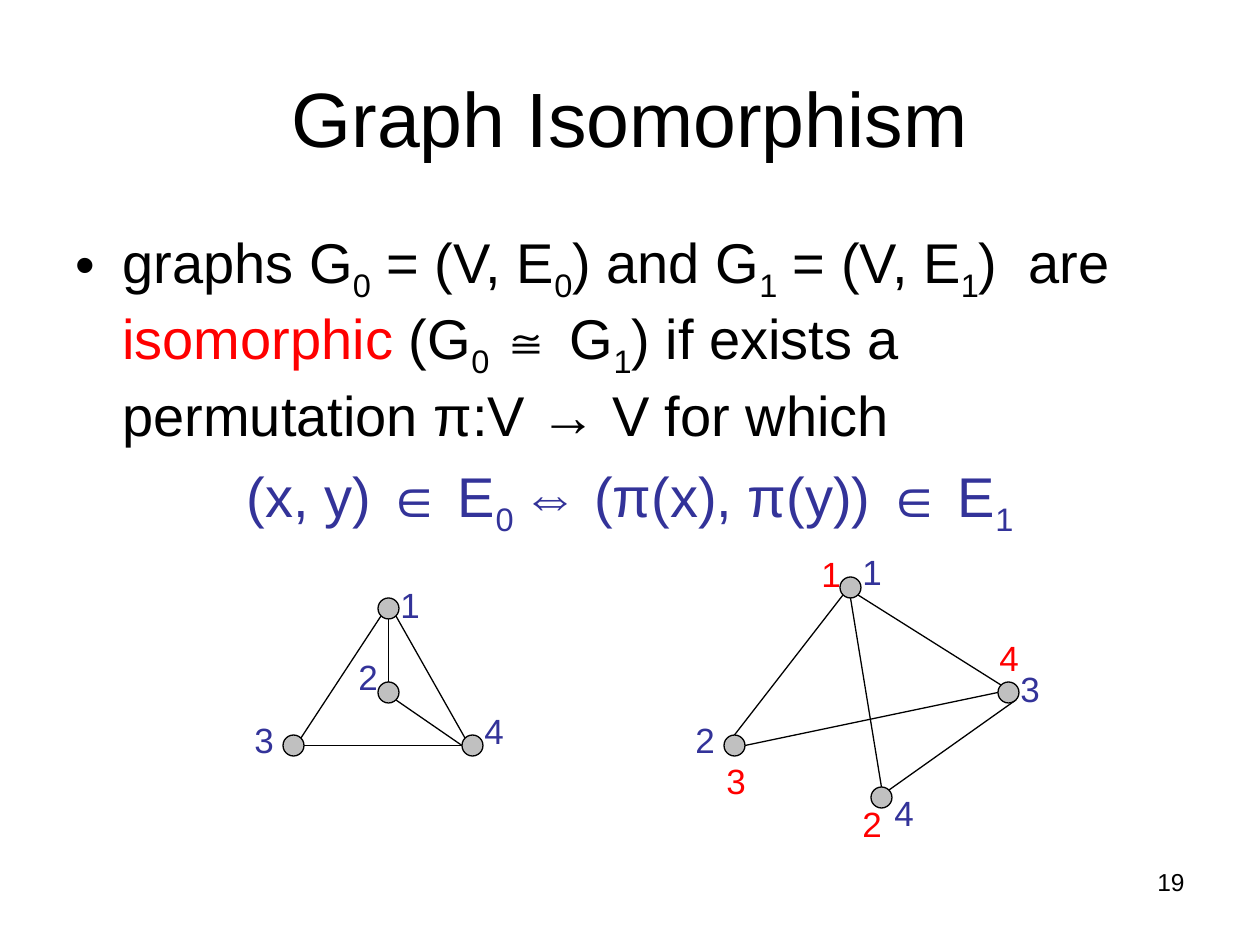
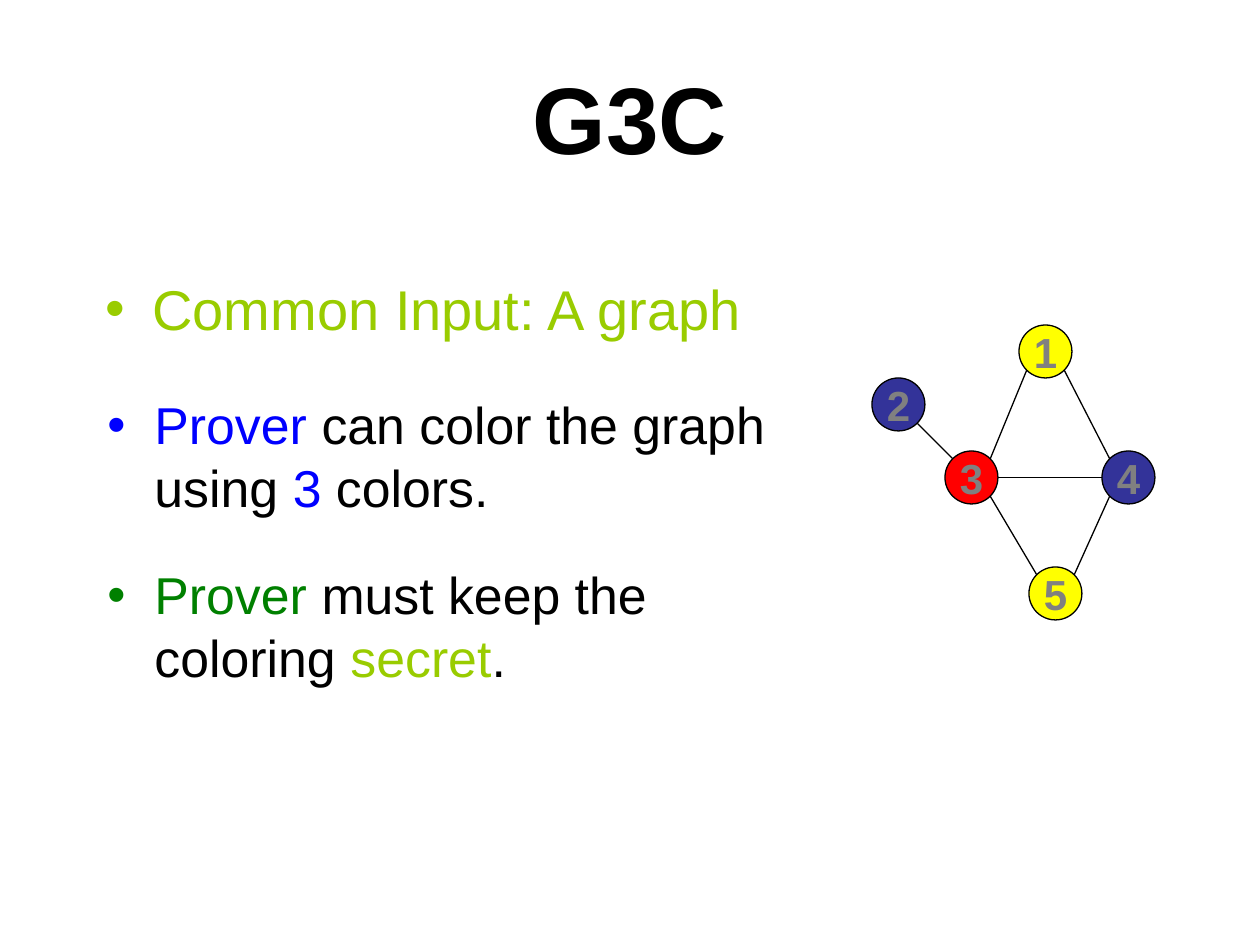
from lxml import etree
from pptx import Presentation
from pptx import util as u
from pptx.dml.color import RGBColor
from pptx.enum import shapes, text
from pptx.oxml import ns

PX = 914400 / 126
BLACK = RGBColor(0x00, 0x00, 0x00)
RED = RGBColor(0xFF, 0x00, 0x00)
INDIGO = RGBColor(0x33, 0x33, 0x99)
SILVER = RGBColor(0xC0, 0xC0, 0xC0)
GRAY = RGBColor(0x80, 0x80, 0x80)
YELLOW = RGBColor(0xFF, 0xFF, 0x00)
LIME = RGBColor(0x99, 0xCC, 0x00)
BLUE = RGBColor(0x00, 0x00, 0xFF)
GREEN = RGBColor(0x00, 0x80, 0x00)

CENTER = text.PP_ALIGN.CENTER
RIGHT = text.PP_ALIGN.RIGHT
MIDDLE = text.MSO_ANCHOR.MIDDLE
INDENT = 47
COMPASS = {"n": (0, -1), "s": (0, 1), "w": (-1, 0), "e": (1, 0),
           "nw": (-0.71, -0.71), "ne": (0.71, -0.71),
           "sw": (-0.71, 0.71), "se": (0.71, 0.71)}

DEFINITION = [
    ("graphs G", BLACK), ("0", BLACK, True), (" = (V, E", BLACK), ("0", BLACK, True),
    (") and G", BLACK), ("1", BLACK, True), (" = (V, E", BLACK), ("1", BLACK, True),
    (")  are ", BLACK), ("isomorphic", RED), (" (G", BLACK), ("0 ", BLACK, True),
    ("≅ G", BLACK), ("1", BLACK, True),
    (") if exists a permutation π:V → V for which", BLACK)]
CONDITION = [
    ("(x, y) ∈ E", INDIGO), ("0 ", INDIGO, True),
    ("⇔ (π(x), π(y)) ∈ E", INDIGO), ("1", INDIGO, True)]

KITE_NODES = {"1": (378, 598), "2": (378, 682), "3": (283, 735), "4": (462, 735)}
KITE_EDGES = ["1 sw 3 ne", "1 se 4 nw", "3 e 4 w", "1 s 2 n", "4 w 2 se"]
KITE_LABELS = {"1": (388, 577), "2": (346, 649), "3": (242, 712), "4": (472, 703)}

CROSSED_NODES = {"1": (840, 577), "2": (724, 735), "3": (998, 682), "4": (871, 787)}
CROSSED_EDGES = ["3 w 2 e", "3 se 4 ne", "3 nw 1 se", "2 n 1 sw", "4 n 1 s"]
CROSSED_LABELS = {"1": (850, 544), "2": (683, 712), "3": (1008, 661), "4": (882, 785)}
PERMUTED_LABELS = {"1": (809, 546), "2": (850, 796), "3": (714, 753), "4": (987, 630)}

COLORED_NODES = {"1": (1019, 325), "2": (872, 378), "3": (945, 451),
                 "4": (1102, 451), "5": (1029, 567)}
COLORED_EDGES = ["3 ne 1 sw", "4 nw 1 se", "5 nw 3 se", "3 nw 2 se", "4 w 3 e", "5 ne 4 sw"]
COLORING = {"1": YELLOW, "2": INDIGO, "3": RED, "4": INDIGO, "5": YELLOW}


def px(*lengths):
    """Turn px lengths into EMU."""
    return [u.Emu(round(length * PX)) for length in lengths]


def apply(target, values):
    """Set each attribute of target from a dict."""
    for name, value in values.items():
        setattr(target, name, value)


def add_spans(para, spans, size, bold=False, font="Arial"):
    """Write coloured runs, some of them subscripts, into a paragraph."""
    for words, color, *subscript in spans:
        span = para.add_run()
        span.text = words
        apply(span.font, {"name": font, "size": u.Pt(size), "bold": bold})
        span.font.color.rgb = color
        if subscript:
            span.font._element.set("baseline", "-25000")


def hang(para, bullet=None):
    """Give a paragraph a hanging indent and, with a colour, a bullet."""
    props = para._p.get_or_add_pPr()
    margin, = px(INDENT)
    props.set("marL", str(margin))
    props.set("indent", str(-margin))
    if bullet is not None:
        color = etree.SubElement(props, ns.qn("a:buClr"))
        etree.SubElement(color, ns.qn("a:srgbClr")).set("val", str(bullet))
        etree.SubElement(props, ns.qn("a:buFont")).set("typeface", "Arial")
        etree.SubElement(props, ns.qn("a:buChar")).set("char", "•")


def add_text(page, place, spans, size, align=None, anchor=text.MSO_ANCHOR.TOP, bold=False):
    """Add a wrapping text box with one paragraph and return its frame."""
    frame = page.shapes.add_textbox(*px(*place)).text_frame
    apply(frame, {"word_wrap": True, "vertical_anchor": anchor})
    para = frame.paragraphs[0]
    para.alignment = align
    add_spans(para, spans, size, bold)
    return frame


def add_title(page, words, size, bold=False):
    """Add the centred slide title."""
    add_text(page, (63, 38, 1134, 157), [(words, BLACK)], size, CENTER, MIDDLE, bold)


def add_bullet(page, place, spans, size):
    """Add a bulleted text whose bullet takes the first span's colour."""
    frame = add_text(page, place, spans, size)
    hang(frame.paragraphs[0], spans[0][1])
    return frame


def add_edge(page, start, end):
    """Draw a thin black line between two points."""
    edge = page.shapes.add_connector(shapes.MSO_CONNECTOR.STRAIGHT, *px(*start, *end))
    edge.line.color.rgb = BLACK
    edge.line.width = u.Pt(0.75)
    etree.SubElement(edge._element.spPr, ns.qn("a:effectLst"))


def add_node(page, place, diameter, fill):
    """Draw one round graph node."""
    node = page.shapes.add_shape(shapes.MSO_SHAPE.OVAL, *px(*place, diameter, diameter))
    node.shadow.inherit = False
    node.fill.solid()
    node.fill.fore_color.rgb = fill
    node.line.color.rgb = BLACK
    node.line.width = u.Pt(0.75)
    return node


def add_number(node, number):
    """Write a node's number inside it, as right-to-left text."""
    frame = node.text_frame
    apply(frame, {"word_wrap": False, "vertical_anchor": MIDDLE})
    para = frame.paragraphs[0]
    para.alignment = CENTER
    para._p.get_or_add_pPr().set("rtl", "1")
    add_spans(para, [(number, GRAY)], 24, True, "Times New Roman")
    props = para.runs[0].font._element
    etree.SubElement(props, ns.qn("a:cs")).set("typeface", "Arial")


def add_graph(page, nodes, edges, diameter, fills):
    """Draw edges between compass points of nodes, then the nodes."""
    radius = diameter / 2

    def site(name, side):
        return [corner + radius * (1 + step)
                for corner, step in zip(nodes[name], COMPASS[side])]

    for edge in edges:
        first, leaving, second, entering = edge.split()
        add_edge(page, site(first, leaving), site(second, entering))
    return {name: add_node(page, place, diameter, fills[name])
            for name, place in nodes.items()}


def add_labels(page, labels, color):
    """Place vertex numbers beside their nodes."""
    for name, place in labels.items():
        add_text(page, (*place, 42, 55), [(name, color)], 20)


def build_isomorphism(page):
    """Fill the slide that defines graph isomorphism."""
    add_text(page, (903, 861, 294, 66), [("19", BLACK)], 14, RIGHT)
    add_title(page, "Graph Isomorphism", 44)
    frame = add_bullet(page, (63, 221, 1134, 624), DEFINITION, 32)
    para = frame.add_paragraph()
    apply(para, {"alignment": CENTER, "space_before": u.Pt(8)})
    hang(para)
    add_spans(para, CONDITION, 32)
    for nodes, edges in ((KITE_NODES, KITE_EDGES), (CROSSED_NODES, CROSSED_EDGES)):
        add_graph(page, nodes, edges, 21, dict.fromkeys(nodes, SILVER))
    for labels, color in ((KITE_LABELS, INDIGO), (PERMUTED_LABELS, RED),
                          (CROSSED_LABELS, INDIGO)):
        add_labels(page, labels, color)


def build_coloring(page):
    """Fill the slide on three-colouring a graph."""
    add_title(page, "G3C", 54, True)
    add_bullet(page, (93, 268, 735, 95), [("Common Input: A graph", LIME)], 32)
    nodes = add_graph(page, COLORED_NODES, COLORED_EDGES, 53, COLORING)
    for number, node in nodes.items():
        add_number(node, number)
    add_bullet(page, (95, 387, 735, 147),
               [("Prover ", BLUE), ("can color the graph using ", BLACK),
                ("3", BLUE), (" colors.", BLACK)], 29.6)
    add_bullet(page, (95, 557, 735, 147),
               [("Prover", GREEN), (" must keep the coloring ", BLACK),
                ("secret", LIME), (".", BLACK)], 29.6)


def main():
    """Build and save the deck."""
    deck = Presentation()
    deck.slide_width, deck.slide_height = px(1260, 945)
    for build in (build_isomorphism, build_coloring):
        build(deck.slides.add_slide(deck.slide_layouts[6]))
    deck.save("out.pptx")


if __name__ == "__main__":
    main()
